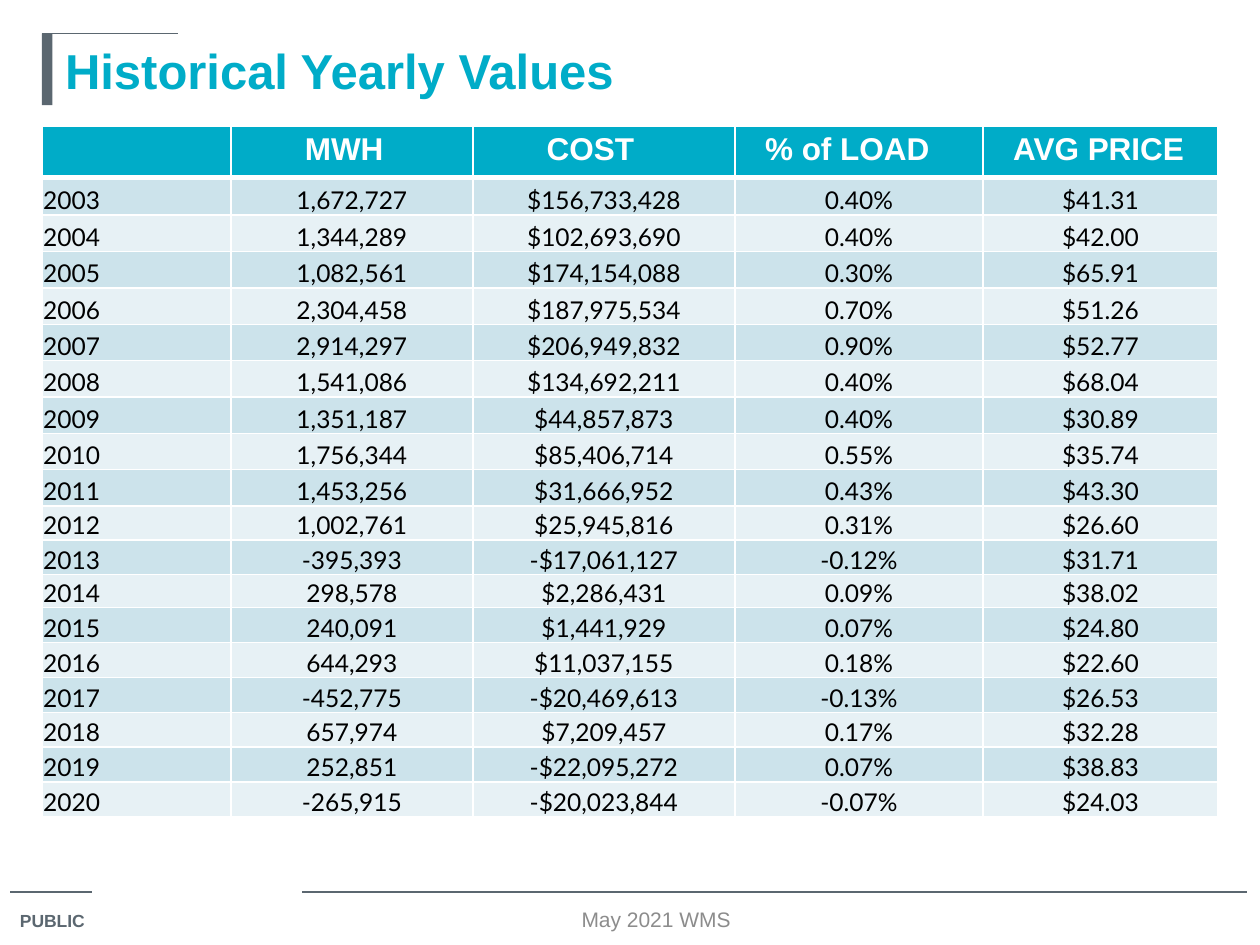
"""Build the slide of historical yearly values."""
import pptx
import pptx.dml.color
import pptx.enum.shapes
import pptx.enum.text
import pptx.oxml.ns
import pptx.util
from lxml import etree

Pt = pptx.util.Pt
ALIGN = pptx.enum.text.PP_ALIGN
ANCHOR = pptx.enum.text.MSO_ANCHOR
WIDTHS = [108, 138.2, 149.8, 141.8, 134.2]
HEIGHTS = [29.5, 21.5] + [20.8] * 8 + [19.4, 19.8, 18.9] + [19.95] * 6
HEADS = [("", 7.2), ("MWH", 42.2), ("COST", 42.2), ("% of LOAD", 17.2), ("AVG PRICE", 17.2)]
ROWS = [
    ("2003", "1,672,727", "$156,733,428", "0.40%", "$41.31"),
    ("2004", "1,344,289", "$102,693,690", "0.40%", "$42.00"),
    ("2005", "1,082,561", "$174,154,088", "0.30%", "$65.91"),
    ("2006", "2,304,458", "$187,975,534", "0.70%", "$51.26"),
    ("2007", "2,914,297", "$206,949,832", "0.90%", "$52.77"),
    ("2008", "1,541,086", "$134,692,211", "0.40%", "$68.04"),
    ("2009", "1,351,187", "$44,857,873", "0.40%", "$30.89"),
    ("2010", "1,756,344", "$85,406,714", "0.55%", "$35.74"),
    ("2011", "1,453,256", "$31,666,952", "0.43%", "$43.30"),
    ("2012", "1,002,761", "$25,945,816", "0.31%", "$26.60"),
    ("2013", "-395,393", "-$17,061,127", "-0.12%", "$31.71"),
    ("2014", "298,578", "$2,286,431", "0.09%", "$38.02"),
    ("2015", "240,091", "$1,441,929", "0.07%", "$24.80"),
    ("2016", "644,293", "$11,037,155", "0.18%", "$22.60"),
    ("2017", "-452,775", "-$20,469,613", "-0.13%", "$26.53"),
    ("2018", "657,974", "$7,209,457", "0.17%", "$32.28"),
    ("2019", "252,851", "-$22,095,272", "0.07%", "$38.83"),
    ("2020", "-265,915", "-$20,023,844", "-0.07%", "$24.03"),
]


def color(text):
    return pptx.dml.color.RGBColor.from_string(text)


class Deck:
    teal, slate, gray = "00ACC8", "5B6770", "8C8C8C"
    white, black = "FFFFFF", "000000"
    bands = ["CCE3EB", "E7F1F5"]
    sans, body = "Arial", "Lato"

    def __init__(self, slide):
        self.slide = slide

    def put(self, frame, text, size, tint, bold=False, font=sans, align=ALIGN.LEFT):
        para = frame.paragraphs[0]
        para.alignment = align
        run = para.add_run()
        run.text = text
        run.font.name, run.font.size, run.font.bold = font, Pt(size), bold
        run.font.color.rgb = color(tint)

    def title(self, text, box):
        shape = self.slide.shapes.title
        shape.left, shape.top, shape.width, shape.height = map(Pt, box)
        frame = shape.text_frame
        frame.word_wrap = True
        frame.vertical_anchor = ANCHOR.MIDDLE
        self.put(frame, text, 28, self.teal, True)

    def text(self, text, box, size, tint, bold=False, align=ALIGN.LEFT):
        frame = self.slide.shapes.add_textbox(*map(Pt, box)).text_frame
        frame.word_wrap = True
        frame.vertical_anchor = ANCHOR.MIDDLE
        self.put(frame, text, size, tint, bold, align=align)

    def bar(self, box):
        kind = pptx.enum.shapes.MSO_SHAPE.RECTANGLE
        shape = self.slide.shapes.add_shape(kind, *map(Pt, box))
        shape.shadow.inherit = False
        shape.fill.solid()
        shape.fill.fore_color.rgb = color(self.slate)
        shape.line.fill.background()

    def rule(self, left, right, top):
        kind = pptx.enum.shapes.MSO_CONNECTOR.STRAIGHT
        line = self.slide.shapes.add_connector(kind, Pt(left), Pt(top), Pt(right), Pt(top))
        line.line.color.rgb = color(self.slate)
        line.line.width = Pt(0.75)
        etree.SubElement(line._element.spPr, pptx.oxml.ns.qn("a:effectLst"))

    def paint(self, cell, fill, top, bottom):
        props = cell._tc.get_or_add_tcPr()
        qn = pptx.oxml.ns.qn
        for side, width in (("L", 1), ("R", 1), ("T", top), ("B", bottom)):
            edge = etree.SubElement(props, qn("a:ln" + side), w=str(Pt(width)))
            solid = etree.SubElement(edge, qn("a:solidFill"))
            etree.SubElement(solid, qn("a:srgbClr"), val=self.white)
        cell.fill.solid()
        cell.fill.fore_color.rgb = color(fill)

    def table(self, left, top):
        size = map(Pt, (left, top, sum(WIDTHS), sum(HEIGHTS)))
        grid = self.slide.shapes.add_table(len(HEIGHTS), len(WIDTHS), *size).table
        for col, width in zip(grid.columns, WIDTHS):
            col.width = Pt(width)
        for row, height in zip(grid.rows, HEIGHTS):
            row.height = Pt(height)
        for col, (text, indent) in enumerate(HEADS):
            cell = grid.cell(0, col)
            self.paint(cell, self.teal, 1, 3)
            cell.margin_left = Pt(indent)
            if text:
                self.put(cell.text_frame, text, 18, self.white, True)
        for row, values in enumerate(ROWS, 1):
            for col, text in enumerate(values):
                cell = grid.cell(row, col)
                self.paint(cell, self.bands[(row - 1) % 2], 3 if row == 1 else 1, 1)
                cell.vertical_anchor = ANCHOR.BOTTOM
                cell.margin_left = cell.margin_right = cell.margin_top = Pt(0.7)
                cell.margin_bottom = 0
                align = ALIGN.CENTER if col else ALIGN.LEFT
                self.put(cell.text_frame, text, 14, self.black, font=self.body, align=align)


def main():
    show = pptx.Presentation()
    show.slide_width, show.slide_height = Pt(720), Pt(540)
    deck = Deck(show.slides.add_slide(show.slide_layouts[5]))
    deck.rule(5.8, 52.6, 509.8)
    deck.rule(172.8, 712.8, 509.8)
    deck.text("PUBLIC", (4.3, 516.2, 55.4, 20), 10, deck.slate, True)
    deck.bar((24, 19.2, 6, 41))
    deck.rule(24, 102, 19.2)
    deck.title("Historical Yearly Values", (30, 19.2, 666, 41))
    deck.table(24, 72)
    deck.text("May 2021 WMS", (216, 516.2, 318, 18), 12, deck.gray, align=ALIGN.CENTER)
    show.save("out.pptx")


if __name__ == "__main__":
    main()
